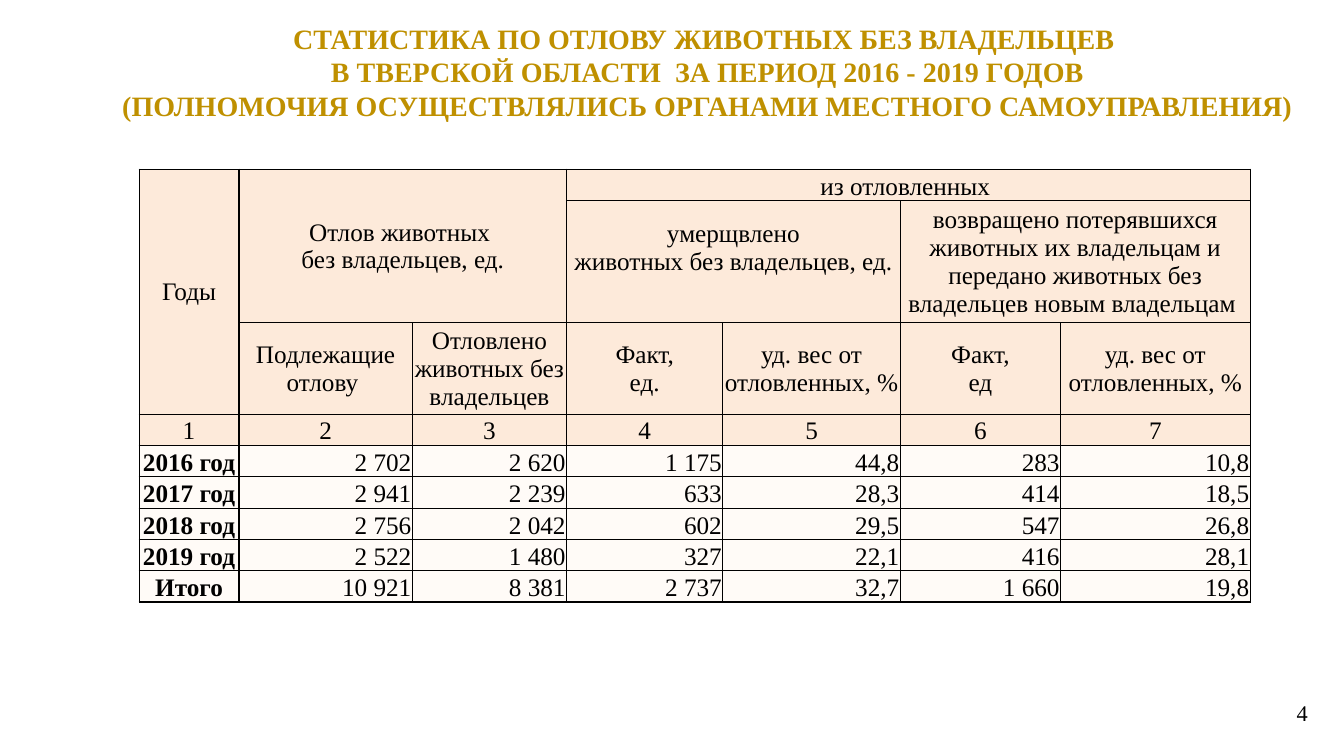
from lxml import etree
from pptx import Presentation
from pptx.dml.color import RGBColor
from pptx.enum import text as t
from pptx.oxml import ns
from pptx.util import Inches, Pt

FONT = "Times New Roman"
GOLD, BLACK, HEAD_FILL, DATA_FILL = "BF9000", "000000", "FDEADA", "FFFBF7"
CENTER, RIGHT = t.PP_ALIGN.CENTER, t.PP_ALIGN.RIGHT
MIDDLE, BOTTOM = t.MSO_ANCHOR.MIDDLE, t.MSO_ANCHOR.BOTTOM

TITLE = [
    "СТАТИСТИКА ПО ОТЛОВУ ЖИВОТНЫХ БЕЗ ВЛАДЕЛЬЦЕВ ",
    "В ТВЕРСКОЙ ОБЛАСТИ  ЗА ПЕРИОД 2016 - 2019 ГОДОВ",
    "(ПОЛНОМОЧИЯ ОСУЩЕСТВЛЯЛИСЬ ОРГАНАМИ МЕСТНОГО САМОУПРАВЛЕНИЯ)",
]
SHARE = ["уд. вес от отловленных, %"]
# (row, column, rows spanned, columns spanned, paragraphs)
HEADINGS = [
    (0, 0, 3, 1, ["Годы"]),
    (0, 1, 2, 2, ["Отлов животных ", "без владельцев, ед."]),
    (0, 3, 1, 4, ["из отловленных "]),
    (1, 3, 1, 2, ["умерщвлено\nживотных без владельцев, ед."]),
    (1, 5, 1, 2, ["возвращено потерявшихся животных их владельцам и "
                  "передано животных без владельцев новым владельцам "]),
    (2, 1, 1, 1, ["Подлежащие отлову "]),
    (2, 2, 1, 1, ["Отловлено животных без владельцев"]),
    (2, 3, 1, 1, ["Факт,\nед."]),
    (2, 4, 1, 1, SHARE),
    (2, 5, 1, 1, ["Факт,\nед"]),
    (2, 6, 1, 1, SHARE),
] + [(3, column, 1, 1, [str(column + 1)]) for column in range(7)]
DATA = [
    ("2016 год", "2 702", "2 620", "1 175", "44,8", "283", "10,8"),
    ("2017 год", "2 941", "2 239", "633", "28,3", "414", "18,5"),
    ("2018 год", "2 756", "2 042", "602", "29,5", "547", "26,8"),
    ("2019 год", "2 522", "1 480", "327", "22,1", "416", "28,1"),
    ("Итого", "10 921", "8 381", "2 737", "32,7", "1 660", "19,8"),
]
WIDTHS = [0.99, 1.72, 1.53, 1.55, 1.76, 1.59, 1.88]
HEIGHTS = [0.31, 1.21, 0.91] + [0.31] * (1 + len(DATA))
FIRST_DATA_ROW = 4
NOTE_ROOM = 0.28  # space kept under the "умерщвлено" heading


def color(value):
    return RGBColor.from_string(value)


def write(frame, lines, size=18, ink=BLACK, bold=False, align=CENTER):
    """Fill a text frame with one paragraph per line."""
    frame.word_wrap = True
    for index, line in enumerate(lines):
        paragraph = frame.add_paragraph() if index else frame.paragraphs[0]
        paragraph.text = line
        paragraph.alignment = align
        for run in paragraph.runs:
            run.font.name, run.font.size, run.font.bold = FONT, Pt(size), bold
            run.font.color.rgb = color(ink)


def add_text(slide, box, lines, anchor=t.MSO_ANCHOR.TOP, **style):
    frame = slide.shapes.add_textbox(*map(Inches, box)).text_frame
    frame.vertical_anchor = anchor
    write(frame, lines, **style)


def add_borders(cell):
    properties = cell._tc.get_or_add_tcPr()
    for side in ("a:lnL", "a:lnR", "a:lnT", "a:lnB"):
        line = etree.SubElement(properties, ns.qn(side), w=str(Pt(1)))
        fill = etree.SubElement(line, ns.qn("a:solidFill"))
        etree.SubElement(fill, ns.qn("a:srgbClr"), val=BLACK)


def add_statistics(slide):
    shape = slide.shapes.add_table(
        len(HEIGHTS), len(WIDTHS), Inches(1.38), Inches(1.68),
        Inches(sum(WIDTHS)), Inches(sum(HEIGHTS)))
    table = shape.table
    table.first_row = table.horz_banding = False
    for column, width in zip(table.columns, WIDTHS):
        column.width = Inches(width)
    for index, (row, height) in enumerate(zip(table.rows, HEIGHTS)):
        row.height = Inches(height)
        is_data = index >= FIRST_DATA_ROW
        for cell in row.cells:
            add_borders(cell)
            cell.fill.solid()
            cell.fill.fore_color.rgb = color(DATA_FILL if is_data else HEAD_FILL)
            cell.margin_left = cell.margin_right = cell.margin_top = Inches(0.01)
            cell.margin_bottom = 0
            cell.vertical_anchor = BOTTOM if is_data else MIDDLE

    for row, column, down, across, lines in HEADINGS:
        cell = table.cell(row, column)
        if down * across > 1:
            cell.merge(table.cell(row + down - 1, column + across - 1))
        write(cell.text_frame, lines)
    table.cell(0, 3).vertical_anchor = BOTTOM
    table.cell(1, 3).margin_bottom = Inches(NOTE_ROOM)

    for row, values in enumerate(DATA, FIRST_DATA_ROW):
        for column, value in enumerate(values):
            is_label = column == 0
            write(table.cell(row, column).text_frame, [value],
                  bold=is_label, align=CENTER if is_label else RIGHT)


def main():
    presentation = Presentation()
    presentation.slide_width = Inches(13.33)
    presentation.slide_height = Inches(7.5)
    slide = presentation.slides.add_slide(presentation.slide_layouts[6])
    add_text(slide, (0.93, 0.16, 12.17, 1.11), TITLE, size=20, ink=GOLD, bold=True)
    add_statistics(slide)
    add_text(slide, (9.96, 6.81, 3.11, 0.52), ["4"], MIDDLE, size=16, align=RIGHT)
    presentation.save("out.pptx")


if __name__ == "__main__":
    main()
